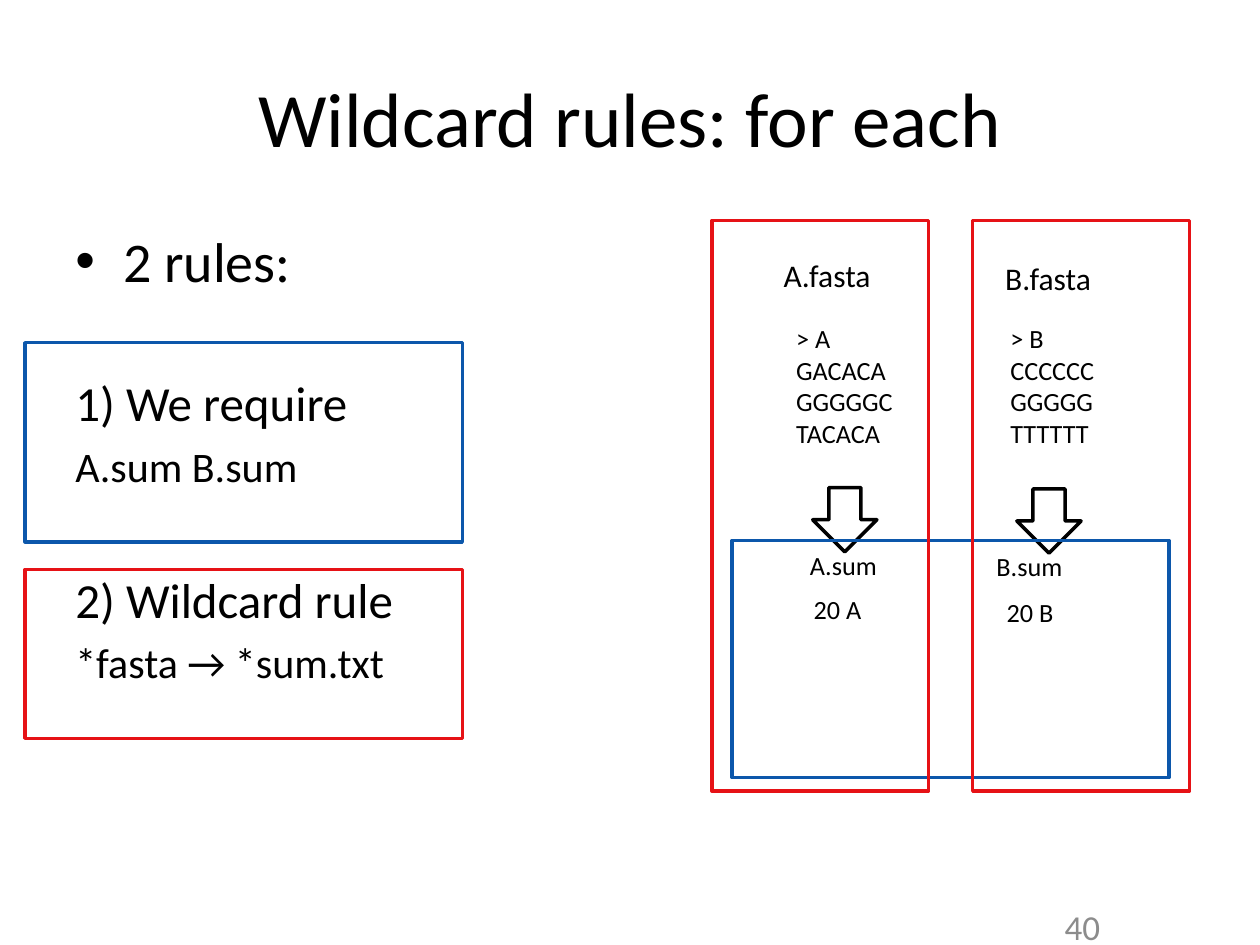
from lxml.etree import SubElement
from pptx import Presentation
from pptx.dml.color import RGBColor
from pptx.enum.shapes import MSO_SHAPE
from pptx.enum.text import MSO_ANCHOR, PP_ALIGN
from pptx.oxml.ns import qn
from pptx.util import Inches, Pt

COLORS = {"text": "000000", "paper": "FFFFFF", "require": "0C57AB",
          "wildcard": "E61216", "number": "8C8C8C"}
FONT = "Calibri"
COLS, ROWS = 10, 7.5

TITLE = "Wildcard rules: for each"
RULES = [("2 rules:", 32, 0), ("1) We require", 28, 45), ("A.sum B.sum", 24, 5),
         ("2) Wildcard rule", 28, 45), ("*fasta → *sum.txt", 24, 5)]
LABELS = [
    (["A.fasta"], 18, (6.12, 1.98, 0.95, 0.4)),
    (["> A", "GACACA", "GGGGGC", "TACACA"], 15, (6.22, 2.51, 0.97, 1.62)),
    (["A.sum"], 15, (6.33, 4.31, 0.76, 0.35)),
    (["20 A"], 15, (6.36, 4.66, 0.6, 0.61)),
    (["B.fasta"], 18, (7.88, 2.01, 0.94, 0.4)),
    (["> B", "CCCCCC", "GGGGG", "TTTTTT"], 15, (7.92, 2.51, 0.9, 1.62)),
    (["B.sum"], 15, (7.81, 4.32, 0.75, 0.35)),
    (["20 B"], 15, (7.89, 4.68, 0.58, 0.61)),
]
ARROWS = [(6.45, 3.87), (8.07, 3.88)]
ARROW_SIZE = 0.51
FRAMES = [
    ("require", (5.81, 4.29, 3.47, 1.88)),
    ("require", (0.2, 2.72, 3.47, 1.58)),
    ("wildcard", (0.2, 4.52, 3.47, 1.34)),
    ("wildcard", (5.65, 1.75, 1.72, 4.53)),
    ("wildcard", (7.72, 1.75, 1.72, 4.53)),
]

prs = Presentation()
prs.slide_width, prs.slide_height = Inches(10), Inches(7.5)
col, row = prs.slide_width / COLS, prs.slide_height / ROWS
s = prs.slides.add_slide(prs.slide_layouts[5])


def place(box):
    x, y, w, h = box
    return int(x * col), int(y * row), int(w * col), int(h * row)


def style(p, size, color="text", align=PP_ALIGN.LEFT):
    p.alignment = align
    for r in p.runs:
        r.font.name, r.font.size = FONT, Pt(size)
        r.font.color.rgb = RGBColor.from_string(COLORS[color])


def add_text(lines, size, box, wrap=False, **look):
    tf = s.shapes.add_textbox(*place(box)).text_frame
    tf.word_wrap = wrap
    tf.text = "\n".join(lines)
    for p in tf.paragraphs:
        style(p, size, **look)
    return tf


def add_outline(kind, box, color, fill=None):
    sp = s.shapes.add_shape(kind, *place(box))
    sp.shadow.inherit = False
    if fill:
        sp.fill.solid()
        sp.fill.fore_color.rgb = RGBColor.from_string(COLORS[fill])
    else:
        sp.fill.background()
    sp.line.color.rgb = RGBColor.from_string(COLORS[color])
    sp.line.width = Pt(2)
    return sp


title = s.shapes.title
title.left, title.top, title.width, title.height = place((0.5, 0.3, 9, 1.25))
title.text_frame.text = TITLE
title.text_frame.vertical_anchor = MSO_ANCHOR.MIDDLE
style(title.text_frame.paragraphs[0], 44, align=PP_ALIGN.CENTER)

tf = add_text([text for text, _, _ in RULES], 28, (0.5, 1.75, 4.94, 4.86), wrap=True)
pPr = tf.paragraphs[0]._p.get_or_add_pPr()
pPr.set("marL", str(Inches(0.38)))
pPr.set("indent", str(-Inches(0.38)))
SubElement(pPr, qn("a:buFont")).set("typeface", "Arial")
SubElement(pPr, qn("a:buChar")).set("char", "•")
for p, (_, size, gap) in zip(tf.paragraphs, RULES):
    style(p, size)
    if gap:
        p.space_before = Pt(gap)

for lines, size, box in LABELS:
    add_text(lines, size, box)

for x, y in ARROWS:
    sp = add_outline(MSO_SHAPE.RIGHT_ARROW, (x, y, ARROW_SIZE, ARROW_SIZE), "text", "paper")
    sp.rotation = 90

for color, box in FRAMES:
    add_outline(MSO_SHAPE.RECTANGLE, box, color)

tf = add_text(["40"], 20, (8.28, 7.08, 0.55, 0.54), wrap=True,
              color="number", align=PP_ALIGN.RIGHT)
tf.vertical_anchor = MSO_ANCHOR.MIDDLE

prs.save("out.pptx")
